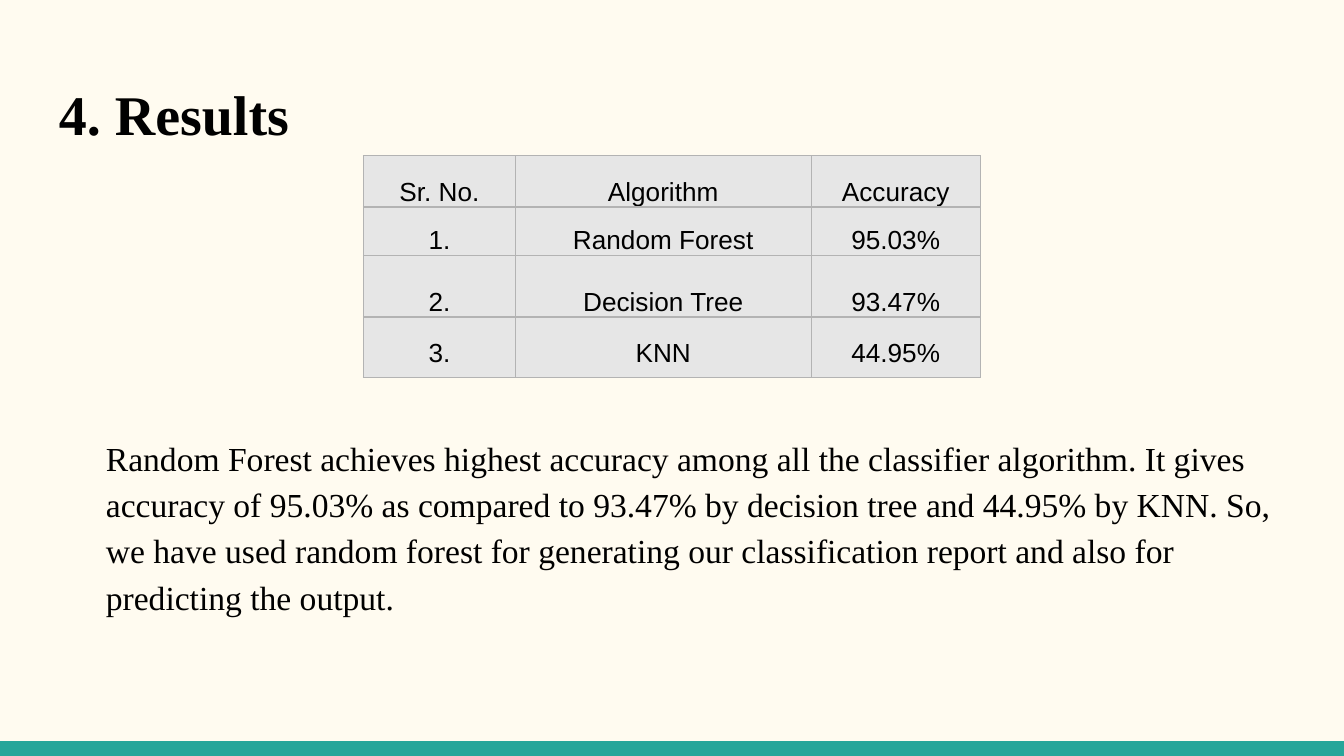
from lxml import etree
from pptx import Presentation
from pptx.dml.color import RGBColor
from pptx.enum.shapes import MSO_SHAPE
from pptx.enum.text import MSO_ANCHOR, PP_ALIGN
from pptx.oxml.ns import qn
from pptx.util import Inches, Pt

RECTANGLE = MSO_SHAPE.RECTANGLE
BOTTOM, TOP = MSO_ANCHOR.BOTTOM, MSO_ANCHOR.TOP
CENTER, LEFT = PP_ALIGN.CENTER, PP_ALIGN.LEFT

SLIDE_WIDTH = 10
SLIDE_HEIGHT = SLIDE_WIDTH * 9 / 16
CREAM, TEAL, BLACK, CELL_GREY, BORDER_GREY = "FFFBF0", "26A69A", "000000", "E6E6E6", "B3B3B3"
SERIF, SANS = "Times New Roman", "Arial"

RESULTS = [
    ("Sr. No.", "Algorithm", "Accuracy"),
    ("1.", "Random Forest", "95.03%"),
    ("2.", "Decision Tree", "93.47%"),
    ("3.", "KNN", "44.95%"),
]
COLUMN_WIDTHS = (1.13, 2.2, 1.26)
ROW_HEIGHTS = (0.38, 0.36, 0.46, 0.45)
ROW_BOTTOM_MARGINS = (0, 0, 0, 0.07)
CONCLUSION = (
    "Random Forest achieves highest accuracy among all the classifier algorithm. "
    "It gives accuracy of 95.03% as compared to 93.47% by decision tree and 44.95% by KNN. "
    "So, we have used random forest for generating our classification report "
    "and also for predicting the output."
)


def paint(fill, colour):
    """Give a fill one solid colour."""
    fill.solid()
    fill.fore_color.rgb = RGBColor.from_string(colour)


def apply_format(target, values):
    """Set every attribute named in a dict of format values."""
    for name, value in values.items():
        setattr(target, name, value)


def write(paragraph, wording, font_format, paragraph_format):
    """Write one black run in a formatted paragraph."""
    run = paragraph.add_run()
    run.text = wording
    paint(run.font.fill, BLACK)
    apply_format(run.font, font_format)
    apply_format(paragraph, paragraph_format)


def add_text(slide, box, wording, anchor, font_format, paragraph_format):
    """Add a wrapping text box with equal insets."""
    frame = slide.shapes.add_textbox(*map(Inches, box)).text_frame
    insets = {f"margin_{side}": Inches(0.1) for side in ("left", "top", "right", "bottom")}
    apply_format(frame, {"word_wrap": True, "vertical_anchor": anchor, **insets})
    write(frame.paragraphs[0], wording, font_format, paragraph_format)


def add_footer_band(slide, height):
    """Add the coloured band along the foot of the slide."""
    band = slide.shapes.add_shape(
        RECTANGLE, 0, Inches(SLIDE_HEIGHT - height), Inches(SLIDE_WIDTH), Inches(height)
    )
    band.shadow.inherit = False
    paint(band.fill, TEAL)
    band.line.fill.background()


def add_borders(cell, colour, width):
    """Draw a line on all four sides of a cell."""
    properties = cell._tc.get_or_add_tcPr()
    for position, side in enumerate(("a:lnL", "a:lnR", "a:lnT", "a:lnB")):
        border = etree.Element(qn(side), w=str(Pt(width)))
        fill = etree.SubElement(border, qn("a:solidFill"))
        etree.SubElement(fill, qn("a:srgbClr"), val=colour)
        properties.insert(position, border)


def fill_cell(cell, wording, bottom_margin):
    """Write, shade and outline one table cell."""
    apply_format(cell, {
        "vertical_anchor": BOTTOM, "margin_left": 0, "margin_right": 0,
        "margin_top": 0, "margin_bottom": Inches(bottom_margin),
    })
    write(cell.text_frame.paragraphs[0], wording,
          {"name": SANS, "size": Pt(14)}, {"alignment": CENTER, "line_spacing": Pt(15.5)})
    paint(cell.fill, CELL_GREY)
    add_borders(cell, BORDER_GREY, 0.75)


def add_results_table(slide, top):
    """Add the accuracy table, centred across the slide."""
    width, height = sum(COLUMN_WIDTHS), sum(ROW_HEIGHTS)
    box = ((SLIDE_WIDTH - width) / 2, top, width, height)
    table = slide.shapes.add_table(
        len(RESULTS), len(COLUMN_WIDTHS), *map(Inches, box)
    ).table
    for column, column_width in zip(table.columns, COLUMN_WIDTHS):
        column.width = Inches(column_width)
    for row, row_height, margin, record in zip(
        table.rows, ROW_HEIGHTS, ROW_BOTTOM_MARGINS, RESULTS
    ):
        row.height = Inches(row_height)
        for cell, wording in zip(row.cells, record):
            fill_cell(cell, wording, margin)


def main():
    """Build the results slide and save it."""
    deck = Presentation()
    apply_format(deck, {"slide_width": Inches(SLIDE_WIDTH), "slide_height": Inches(SLIDE_HEIGHT)})
    slide = deck.slides.add_slide(deck.slide_layouts[6])
    paint(slide.background.fill, CREAM)
    add_footer_band(slide, 0.11)
    add_text(slide, (0.34, 0.49, 9.32, 0.67), "4. Results", TOP,
             {"name": SERIF, "size": Pt(30), "bold": True}, {"alignment": LEFT})
    add_text(slide, (0.69, 3.11, 8.97, 1.89), CONCLUSION, TOP,
             {"name": SERIF, "size": Pt(18)}, {"line_spacing": 1.15, "space_after": Pt(16)})
    add_results_table(slide, 1.16)
    deck.save("out.pptx")


if __name__ == "__main__":
    main()
